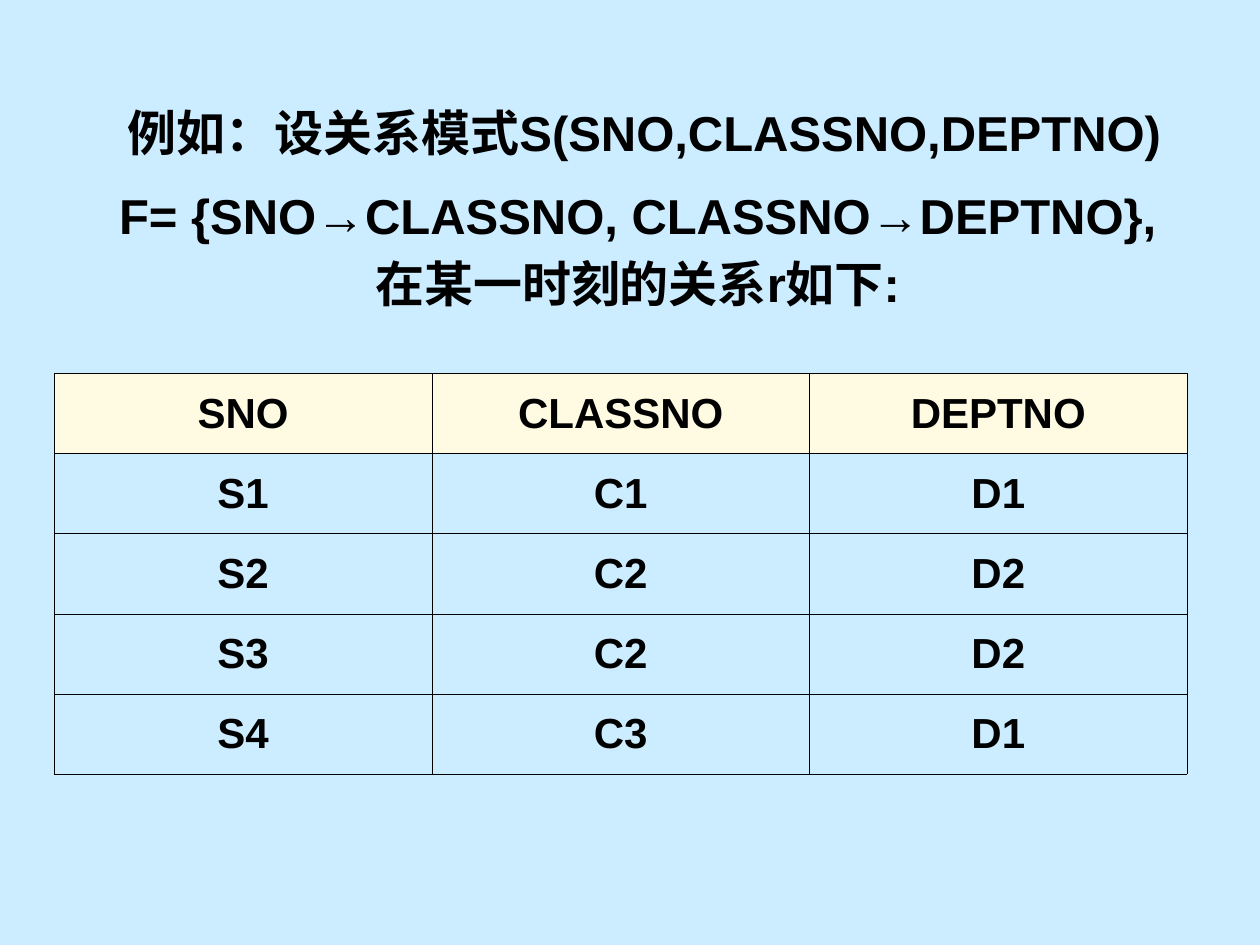
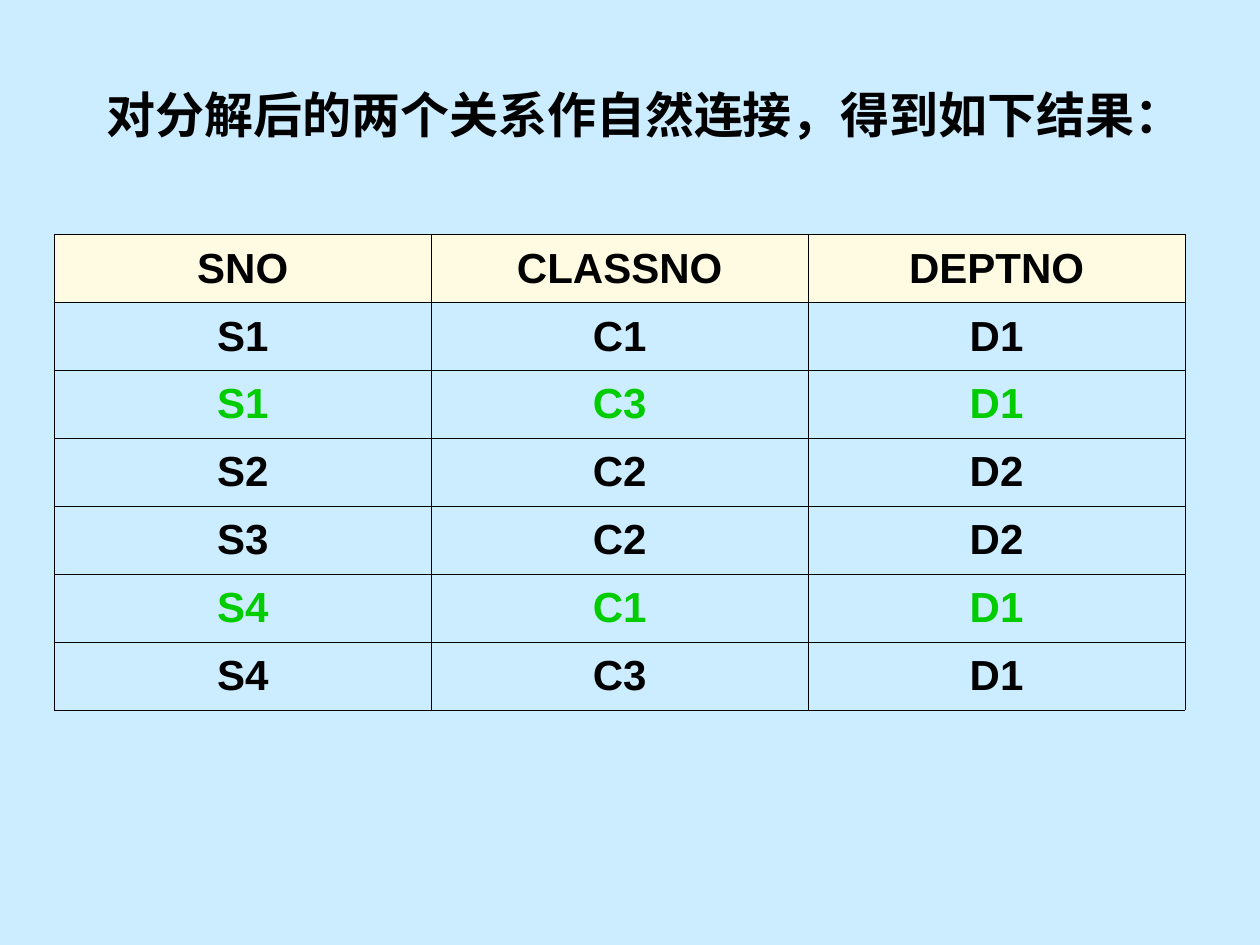
from lxml import etree
from pptx import Presentation
from pptx.dml.color import RGBColor
from pptx.enum import text
from pptx.oxml import ns
from pptx.util import Pt

SKY = RGBColor(0xCC, 0xEC, 0xFF)
CREAM = RGBColor(0xFE, 0xFB, 0xE2)
BLACK = RGBColor(0x00, 0x00, 0x00)
GREEN = RGBColor(0x00, 0xCC, 0x00)

COLUMNS = ("SNO", "CLASSNO", "DEPTNO")
TABLE_LEFT = 31


def set_values(target, values):
    for name, value in values.items():
        setattr(target, name, value)


class Deck:
    """Holds the shared style and the slide being built."""

    font = {"name": "Arial", "bold": True}
    title_size = Pt(28)
    cell_size = Pt(24)
    border_width = Pt(0.34)

    def __init__(self):
        self.presentation = Presentation()
        set_values(self.presentation, {"slide_width": Pt(720), "slide_height": Pt(540)})
        self.slide = None

    def add_slide(self):
        self.slide = self.presentation.slides.add_slide(self.presentation.slide_layouts[6])
        fill = self.slide.background.fill
        fill.solid()
        fill.fore_color.rgb = SKY

    def add_words(self, paragraph, words, size, color=BLACK, align=text.PP_ALIGN.CENTER):
        paragraph.alignment = align
        run = paragraph.add_run()
        run.text = words
        set_values(run.font, {**self.font, "size": size})
        run.font.color.rgb = color

    def add_title(self, box, lines, align=text.PP_ALIGN.CENTER, line_height=None):
        """Add (words, space before) lines, centred vertically in the box."""
        frame = self.slide.shapes.add_textbox(*map(Pt, box)).text_frame
        set_values(frame, {"word_wrap": True, "vertical_anchor": text.MSO_ANCHOR.MIDDLE})
        for number, (words, space_before) in enumerate(lines):
            paragraph = frame.add_paragraph() if number else frame.paragraphs[0]
            self.add_words(paragraph, words, self.title_size, align=align)
            paragraph.space_before = Pt(space_before)
            if line_height:
                paragraph.line_spacing = Pt(line_height)

    def add_relation(self, top, column_width, row_height, tuples, spurious=()):
        """Draw a relation as a table; spurious tuples are shown in green."""
        rows = [COLUMNS, *tuples]
        size = (column_width * len(COLUMNS), row_height * len(rows))
        frame = self.slide.shapes.add_table(
            len(rows), len(COLUMNS), *map(Pt, (TABLE_LEFT, top, *size)))
        table = frame.table
        set_values(table, {"first_row": False, "horz_banding": False})
        for column in table.columns:
            column.width = Pt(column_width)
        for number, values in enumerate(rows):
            table.rows[number].height = Pt(row_height)
            color = GREEN if values in spurious else BLACK
            for cell, value in zip(table.rows[number].cells, values):
                self.add_borders(cell)
                self.fill_cell(cell, is_header=number == 0)
                cell.vertical_anchor = text.MSO_ANCHOR.MIDDLE
                self.add_words(cell.text_frame.paragraphs[0], value, self.cell_size, color)

    def fill_cell(self, cell, is_header):
        if is_header:
            cell.fill.solid()
            cell.fill.fore_color.rgb = CREAM
        else:
            cell.fill.background()

    def add_borders(self, cell):
        properties = cell._tc.get_or_add_tcPr()
        for side in ("a:lnL", "a:lnR", "a:lnT", "a:lnB"):
            line = etree.SubElement(properties, ns.qn(side), w=str(int(self.border_width)))
            fill = etree.SubElement(line, ns.qn("a:solidFill"))
            etree.SubElement(fill, ns.qn("a:srgbClr"), val=str(BLACK))


def main():
    deck = Deck()

    deck.add_slide()
    deck.add_title(
        (31, 54.7, 674.6, 124.6),
        [("例如：设关系模式S(SNO,CLASSNO,DEPTNO)", 0),
         ("F= {SNO→CLASSNO, CLASSNO→DEPTNO}, ", 11),
         ("在某一时刻的关系r如下: ", 2)],
        line_height=36.6)
    deck.add_relation(213.4, 215.8, 45.8, [
        ("S1", "C1", "D1"),
        ("S2", "C2", "D2"),
        ("S3", "C2", "D2"),
        ("S4", "C3", "D1"),
    ])

    deck.add_slide()
    deck.add_title(
        (54, 20.2, 647.3, 89.3),
        [("对分解后的两个关系作自然连接，得到如下结果：", 0)],
        align=text.PP_ALIGN.LEFT)
    spurious = [("S1", "C3", "D1"), ("S4", "C1", "D1")]
    deck.add_relation(134, 215.4, 38.86, [
        ("S1", "C1", "D1"),
        spurious[0],
        ("S2", "C2", "D2"),
        ("S3", "C2", "D2"),
        spurious[1],
        ("S4", "C3", "D1"),
    ], spurious)

    deck.presentation.save("out.pptx")


if __name__ == "__main__":
    main()
